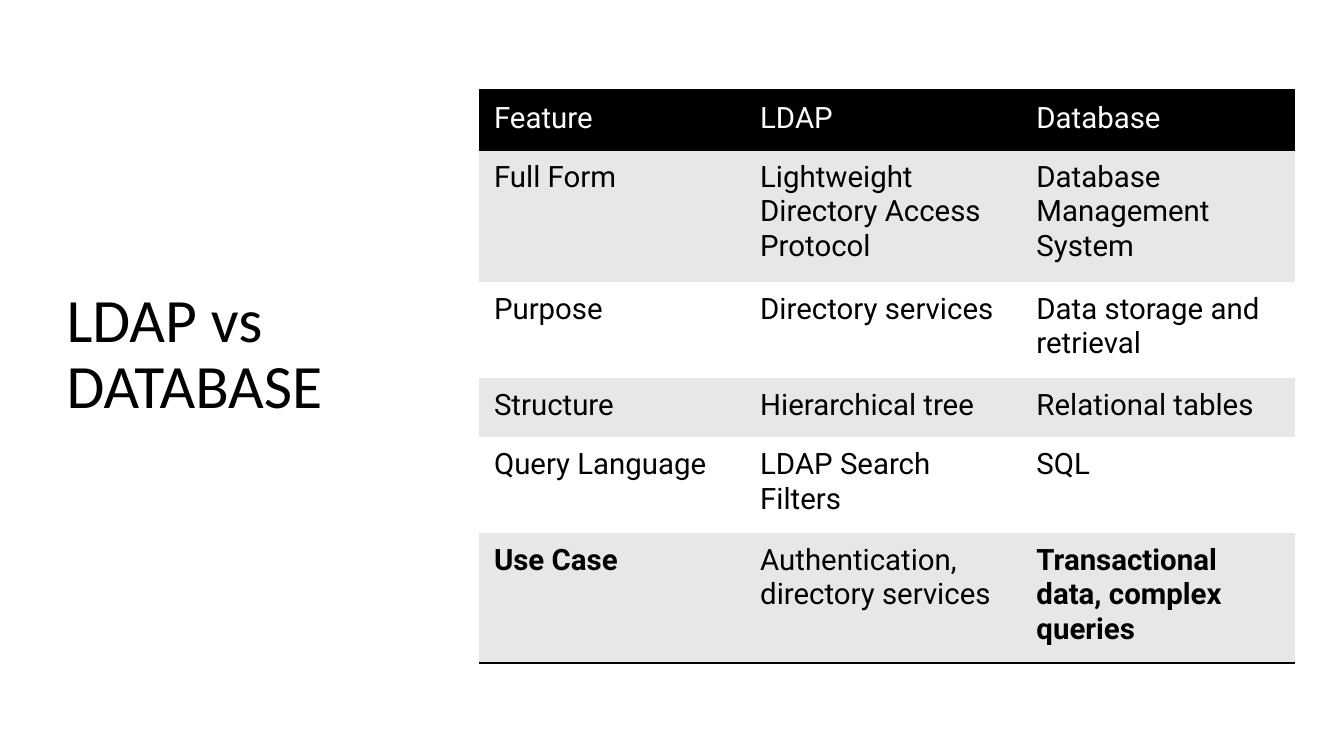
from lxml import etree
from pptx import Presentation
from pptx.dml.color import RGBColor
from pptx.enum.text import MSO_ANCHOR, MSO_AUTO_SIZE, PP_ALIGN
from pptx.oxml.ns import qn
from pptx.util import Inches, Pt

BOTTOM = MSO_ANCHOR.BOTTOM
NO_AUTOFIT = MSO_AUTO_SIZE.NONE
LEFT = PP_ALIGN.LEFT

TITLE = "LDAP vs DATABASE"
COMPARISON = [
    ("Feature", "LDAP", "Database"),
    ("Full Form", "Lightweight Directory Access Protocol", "Database Management System"),
    ("Purpose", "Directory services", "Data storage and retrieval"),
    ("Structure", "Hierarchical tree", "Relational tables"),
    ("Query Language", "LDAP Search Filters", "SQL"),
    ("Use Case", "Authentication, directory services", "Transactional data, complex queries"),
]
BOLD_TEXTS = {"Use Case", "Transactional data, complex queries"}
COLUMN_WIDTHS = (2.64, 2.74, 2.71)
ROW_HEIGHTS = (0.59, 1.31, 0.95, 0.59, 0.95, 1.29)
COLORS = {"ink": "000000", "paper": "FFFFFF", "band": "E7E7E7"}
PLAIN_TABLE_STYLE = "{2D5ABB26-0587-4C30-8999-92F81FD0307C}"
TITLE_BOX = {"left": 0.56, "top": 2.23, "width": 3.66, "height": 2.01}
CELL_MARGINS = {"margin_left": 0.15, "margin_top": 0.1, "margin_right": 0.1}
TITLE_FONT = {"name": "Calibri", "size": Pt(44)}
CELL_FONT = {"name": "Roboto", "size": Pt(21)}


def apply(target, values):
    for name, value in values.items():
        setattr(target, name, value)


def apply_inches(target, values):
    apply(target, {name: Inches(value) for name, value in values.items()})


def style_font(font, values, color):
    apply(font, values)
    font.color.rgb = RGBColor.from_string(COLORS[color])


def add_borders(cell, sides):
    """Draw 2 pt lines on the given sides, listed in schema order (lnT, lnB)."""
    properties = cell._tc.get_or_add_tcPr()
    for position, side in enumerate(sides):
        line = etree.Element(qn(f"a:{side}"), w=str(Pt(2)))
        fill = etree.SubElement(line, qn("a:solidFill"))
        etree.SubElement(fill, qn("a:srgbClr"), val=COLORS["ink"])
        properties.insert(position, line)


def add_title(slide):
    title = slide.shapes.title
    apply_inches(title, TITLE_BOX)
    frame = title.text_frame
    frame.text = TITLE
    apply(frame, {"vertical_anchor": BOTTOM, "auto_size": NO_AUTOFIT, "word_wrap": True})
    paragraph = frame.paragraphs[0]
    apply(paragraph, {"alignment": LEFT, "line_spacing": 0.9, "space_after": Pt(6)})
    style_font(paragraph.runs[0].font, TITLE_FONT, "ink")


def fill_cell(cell, text, row):
    is_header = row == 0
    is_last = row == len(COMPARISON) - 1
    cell.text = text
    apply_inches(cell, {**CELL_MARGINS, "margin_bottom": 0.07 if is_last else 0.09})
    font = cell.text_frame.paragraphs[0].runs[0].font
    style_font(font, {**CELL_FONT, "bold": text in BOLD_TEXTS}, "paper" if is_header else "ink")
    background = "ink" if is_header else "band" if row % 2 else "paper"
    cell.fill.solid()
    cell.fill.fore_color.rgb = RGBColor.from_string(COLORS[background])
    if is_header:
        add_borders(cell, ("lnT", "lnB"))
    elif is_last:
        add_borders(cell, ("lnB",))


def add_comparison(slide):
    table = slide.shapes.add_table(
        len(ROW_HEIGHTS), len(COLUMN_WIDTHS), Inches(4.75), Inches(0.9),
        Inches(sum(COLUMN_WIDTHS)), Inches(sum(ROW_HEIGHTS))).table
    apply(table, {"first_row": False, "horz_banding": False})
    table._tbl.tblPr.find(qn("a:tableStyleId")).text = PLAIN_TABLE_STYLE
    for column, width in zip(table.columns, COLUMN_WIDTHS):
        column.width = Inches(width)
    for row, (texts, height) in enumerate(zip(COMPARISON, ROW_HEIGHTS)):
        table.rows[row].height = Inches(height)
        for column, text in enumerate(texts):
            fill_cell(table.cell(row, column), text, row)


def main():
    deck = Presentation()
    deck.slide_width, deck.slide_height = Inches(13.33), Inches(7.5)
    slide = deck.slides.add_slide(deck.slide_layouts.get_by_name("Title Only"))
    add_title(slide)
    add_comparison(slide)
    deck.save("out.pptx")


if __name__ == "__main__":
    main()
